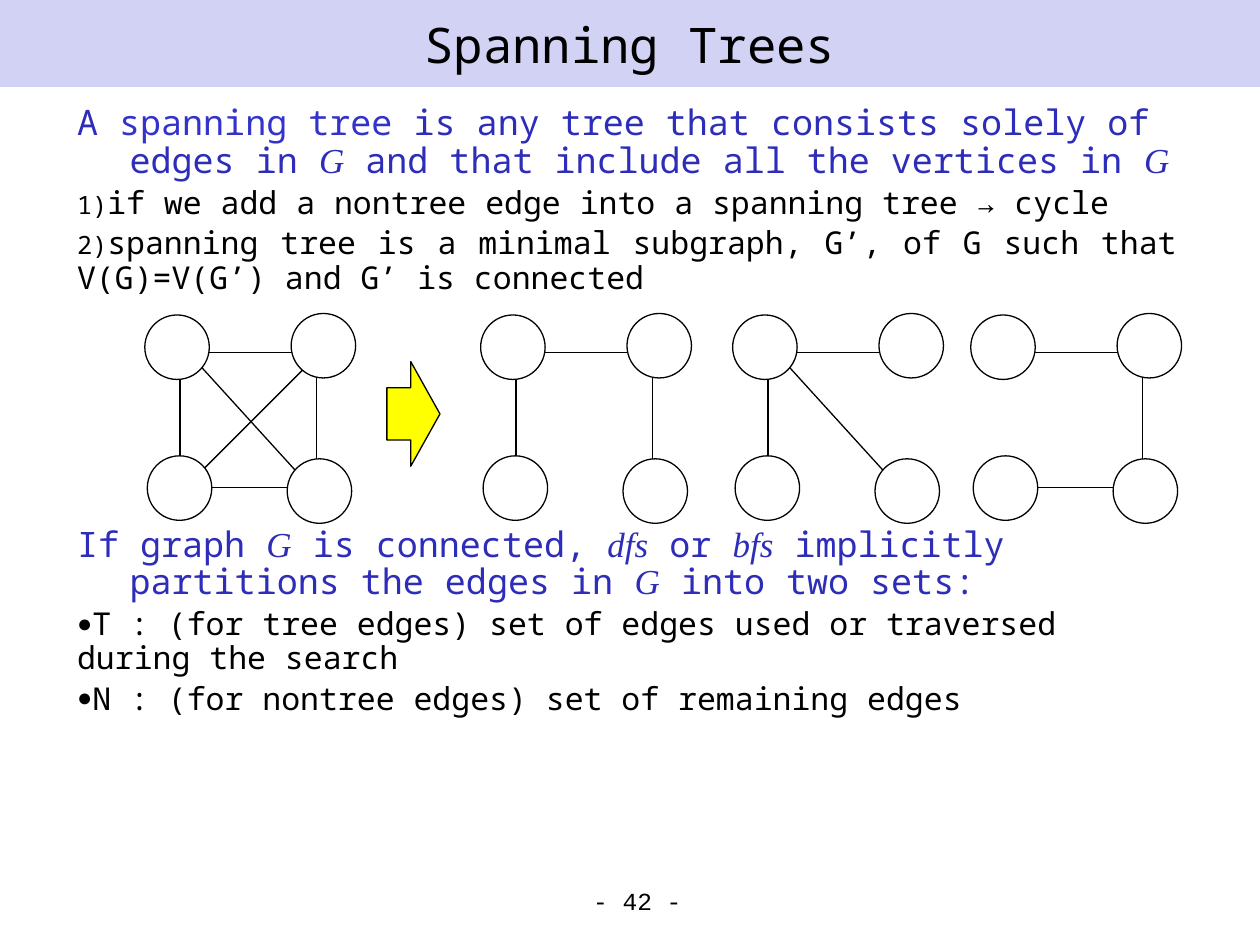
from lxml import etree
from pptx import Presentation
from pptx.dml.color import RGBColor
from pptx.enum import shapes, text
from pptx.oxml import ns
from pptx.util import Cm, Pt

MONO, SERIF = "Noto Sans Mono", "Times New Roman"
BLACK, WHITE, BLUE = "000000", "FFFFFF", "2D2DB9"


def color(hex_string):
    return RGBColor.from_string(hex_string)


def outline(shape, fill=None):
    """Thin black line, no shadow, optional solid fill."""
    shape.line.color.rgb = color(BLACK)
    shape.line.width = Pt(0.75)
    if fill:
        shape.shadow.inherit = False
        shape.fill.solid()
        shape.fill.fore_color.rgb = color(fill)
    else:
        etree.SubElement(shape._element.spPr, ns.qn("a:effectLst"))


prs = Presentation()
prs.slide_width, prs.slide_height = Cm(25.4), Cm(19.05)
slide = prs.slides.add_slide(prs.slide_layouts[1])

# Title band
title = slide.shapes.title
title.left, title.top, title.width, title.height = Cm(0), Cm(0), Cm(25.4), Cm(1.75)
title.fill.solid()
title.fill.fore_color.rgb = color("D2D2F4")
title.text_frame.text = "Spanning Trees"
title.text_frame.auto_size = text.MSO_AUTO_SIZE.NONE
title.text_frame.vertical_anchor = text.MSO_ANCHOR.MIDDLE
heading = title.text_frame.paragraphs[0]
heading.alignment = text.PP_ALIGN.CENTER
heading.font.size, heading.font.name = Pt(28), MONO
heading.font.color.rgb = color(BLACK)

# Statements: kind, space before in points, text with *italic* variables
statements = [
    ("lead", 4, "A |spanning tree| is any tree that consists solely of edges in *G*"
                " and that include all the vertices in *G*"),
    ("number", 3.6, "if we add a nontree edge into a spanning tree → cycle"),
    ("number", 3.6, "spanning tree is a minimal subgraph, G’, of G such that "
                    "V(G)=V(G’) and G’ is connected"),
    # The large gap leaves room for the graphs
    ("lead", 132, "If graph *G* is connected, *dfs* or *bfs* implicitly partitions"
                  " the edges in *G* into two sets:"),
    ("dot", 3.6, "T : (for tree edges) set of edges used or traversed during the search"),
    ("dot", 3.6, "N : (for nontree edges) set of remaining edges"),
]
bullets = {
    "lead": [("a:buNone", {})],
    "number": [("a:buSzPct", {"val": "80000"}), ("a:buAutoNum", {"type": "arabicParenR"})],
    "dot": [("a:buSzPct", {"val": "80000"}), ("a:buChar", {"char": "●"})],
}

body = slide.placeholders[1]
body.left, body.top, body.width, body.height = Cm(1.3), Cm(2), Cm(22.68), Cm(15.34)
body.text_frame.auto_size = text.MSO_AUTO_SIZE.NONE
for number, (kind, space, words) in enumerate(statements):
    frame = body.text_frame
    statement = frame.add_paragraph() if number else frame.paragraphs[0]
    lead = kind == "lead"
    statement.level = 0 if lead else 1
    statement.alignment = text.PP_ALIGN.JUSTIFY if kind == "number" else text.PP_ALIGN.LEFT
    statement.line_spacing = 0.9
    statement.space_before = Pt(space)
    properties = statement._p.get_or_add_pPr()
    properties.set("marL", str(Cm(1.06) if lead else 0))
    properties.set("indent", str(Cm(-1.06 if lead else -0.95)))
    for tag, attributes in bullets[kind]:
        etree.SubElement(properties, ns.qn(tag), attributes)
    statement.font.size = Pt(20 if lead else 18)
    statement.font.color.rgb = color(BLUE if lead else BLACK)
    for part, phrase in enumerate(words.split("*")):
        variable = part % 2 == 1
        for piece, term in enumerate(phrase.split("|")):
            if term:
                run = statement.add_run()
                run.text = term
                run.font.name = SERIF if variable else MONO
                run.font.italic = variable
                if piece == 1:
                    run.font.color.rgb = color("3333CC")

# Page number
page_box = slide.shapes.add_textbox(Cm(8.71), Cm(17.73), Cm(5.28), Cm(0.79))
page_box.text_frame.word_wrap = True
page = page_box.text_frame.paragraphs[0]
page.text = "- 42 -"
page.alignment = text.PP_ALIGN.RIGHT
page.font.size, page.font.name = Pt(14), "Courier New"
page.font.color.rgb = color(BLACK)

# The complete graph and three of its spanning trees, in cm
edges = {
    "falling": (3.96, 7.29, 6.27, 9.83),
    "rising": (6.27, 7.29, 3.96, 9.6),
    "top": (3.84, 7.11, 6.25, 7.11),
    "left": (3.63, 7.21, 3.63, 9.58),
    "bottom": (3.89, 9.83, 6.35, 9.83),
    "right": (6.38, 7.16, 6.38, 9.75),
}
vertices = [(2.92, 6.35), (5.87, 6.32), (2.97, 9.19), (5.79, 9.25)]
graphs = [
    (0, list(edges)),
    (6.77, ["top", "left", "right"]),
    (11.85, ["falling", "top", "left"]),
    (16.65, ["top", "bottom", "right"]),
]
for shift, chosen in graphs:
    graph = slide.shapes.add_group_shape().shapes
    for name in chosen:
        x1, y1, x2, y2 = edges[name]
        outline(graph.add_connector(shapes.MSO_CONNECTOR.STRAIGHT, Cm(x1 + shift), Cm(y1),
                                    Cm(x2 + shift), Cm(y2)))
    for x, y in vertices:
        outline(graph.add_shape(shapes.MSO_SHAPE.OVAL, Cm(x + shift), Cm(y),
                                Cm(1.3), Cm(1.3)), WHITE)

arrow = slide.shapes.add_shape(shapes.MSO_SHAPE.RIGHT_ARROW, Cm(7.8), Cm(7.29), Cm(1.07), Cm(2.11))
arrow.adjustments[0], arrow.adjustments[1] = 0.5, 0.55
outline(arrow, "FFFF00")

prs.save("out.pptx")
